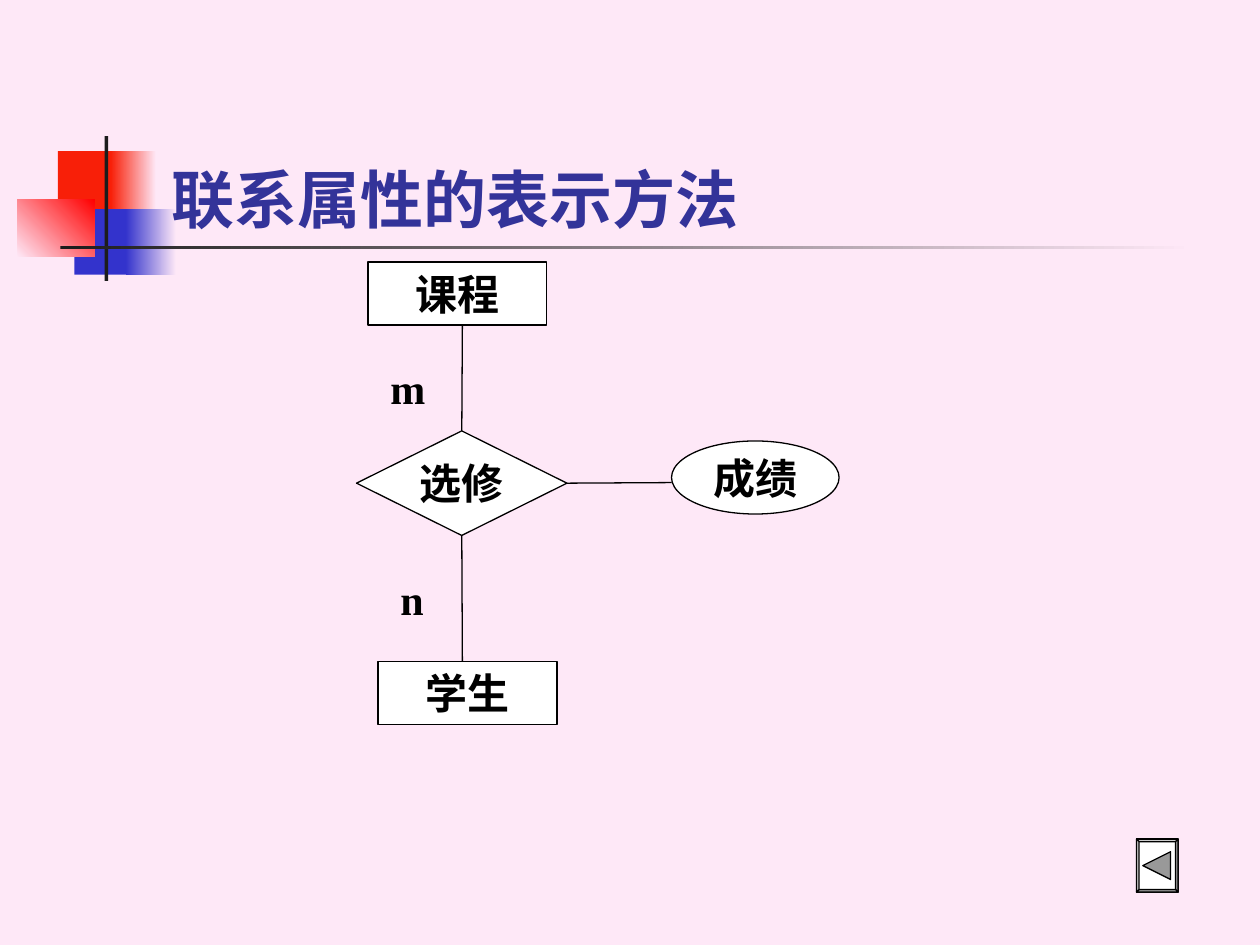
"""Build the slide on how relationship attributes are drawn in an ER diagram."""
from lxml import etree
from pptx import Presentation
from pptx.dml.color import RGBColor
from pptx.enum.shapes import MSO_CONNECTOR, MSO_SHAPE
from pptx.enum.text import MSO_ANCHOR, PP_ALIGN
from pptx.oxml.ns import qn
from pptx.util import Inches, Pt

RECTANGLE = MSO_SHAPE.RECTANGLE
DIAMOND = MSO_SHAPE.DIAMOND
OVAL = MSO_SHAPE.OVAL
STRAIGHT = MSO_CONNECTOR.STRAIGHT
TOP, MIDDLE, BOTTOM = MSO_ANCHOR.TOP, MSO_ANCHOR.MIDDLE, MSO_ANCHOR.BOTTOM
LEFT, CENTER = PP_ALIGN.LEFT, PP_ALIGN.CENTER

COLORS = {
    "background": "FEE8F7",
    "orange": "F81F08",
    "red": "FF0000",
    "blue": "3333CC",
    "dark": "1C1C1C",
    "title": "333399",
    "black": "000000",
    "white": "FFFFFF",
    "light": "CCCCCC",
    "gray": "999999",
}


def color(name):
    return RGBColor.from_string(COLORS[name])


def write(shape, text, size, font_name, font_color, anchor, align, wrap=True):
    frame = shape.text_frame
    frame.word_wrap = wrap
    frame.vertical_anchor = anchor
    paragraph = frame.paragraphs[0]
    paragraph.text = text
    paragraph.alignment = align
    paragraph.font.size = Pt(size)
    paragraph.font.name = font_name
    paragraph.font.bold = True
    paragraph.font.color.rgb = color(font_color)


presentation = Presentation()
presentation.slide_width = Inches(10)
presentation.slide_height = Inches(7.5)
slide = presentation.slides.add_slide(presentation.slide_layouts[6])
slide.background.fill.solid()
slide.background.fill.fore_color.rgb = color("background")
shapes = slide.shapes

decorations = [
    (0.46, 1.2, 0.48, 0.52, ["orange"], 0),
    (0.88, 1.2, 0.36, 0.52, ["orange", "background"], 0),
    (0.59, 1.66, 0.46, 0.52, ["blue"], 0),
    (1, 1.66, 0.4, 0.52, ["blue", "background"], 0),
    (0.14, 1.58, 0.61, 0.46, ["background", "red"], 45),
    (0.83, 1.08, 0.03, 1.15, ["dark"], 0),
    (0.48, 1.95, 9, 0.03, ["dark", "background"], 0),
]
for *box, fill_colors, angle in decorations:
    shape = shapes.add_shape(RECTANGLE, *map(Inches, box))
    shape.shadow.inherit = False
    shape.line.fill.background()
    if len(fill_colors) == 1:
        shape.fill.solid()
        shape.fill.fore_color.rgb = color(fill_colors[0])
    else:
        shape.fill.gradient()
        shape.fill.gradient_angle = angle
        for stop, name in zip(shape.fill.gradient_stops, fill_colors):
            stop.color.rgb = color(name)

title = shapes.add_textbox(Inches(1.26), Inches(0.67), Inches(8.52), Inches(1.25))
write(title, "联系属性的表示方法", 36, "Roboto", "title", BOTTOM, LEFT)

nodes = [
    ("课程", RECTANGLE, 2.92, 2.08, 1.42, 0.5, TOP, True),
    ("选修", DIAMOND, 2.83, 3.42, 1.67, 0.83, MIDDLE, False),
    ("学生", RECTANGLE, 3, 5.25, 1.42, 0.5, TOP, True),
    ("成绩", OVAL, 5.33, 3.5, 1.33, 0.58, MIDDLE, False),
]
node_shapes = {}
for text, kind, *box, anchor, wrap in nodes:
    shape = shapes.add_shape(kind, *map(Inches, box))
    shape.shadow.inherit = False
    shape.fill.solid()
    shape.fill.fore_color.rgb = color("white")
    shape.line.color.rgb = color("black")
    shape.line.width = Pt(0.75)
    write(shape, text, 24, "Times New Roman", "black", anchor, CENTER, wrap)
    node_shapes[text] = shape

links = [
    (3.67, 3.42, 3.67, 2.58, 0),
    (3.67, 4.25, 3.67, 5.25, 2),
    (4.5, 3.83, 5.33, 3.83, 3),
]
for *ends, site in links:
    connector = shapes.add_connector(STRAIGHT, *map(Inches, ends))
    connector.begin_connect(node_shapes["选修"], site)
    connector.line.color.rgb = color("black")
    connector.line.width = Pt(0.75)
    etree.SubElement(connector._element.spPr, qn("a:effectLst"))

for text, left, top in [("m", 3, 2.83), ("n", 3.08, 4.5)]:
    label = shapes.add_textbox(Inches(left), Inches(top), Inches(0.42), Inches(0.5))
    write(label, text, 24, "Times New Roman", "black", TOP, LEFT)

outer = [(9.02, 6.66), (9.35, 6.66), (9.35, 7.08), (9.02, 7.08)]
inner = [(9.04, 6.68), (9.33, 6.68), (9.33, 7.06), (9.04, 7.06)]
button_parts = [(outer, "white")]
for side, name in enumerate(["light", "gray", "gray", "light"]):
    following = (side + 1) % 4
    bevel = [outer[side], outer[following], inner[following], inner[side]]
    button_parts.append((bevel, name))
button_parts.append(([(9.07, 6.87), (9.29, 6.76), (9.29, 6.98)], "gray"))
for points, name in button_parts:
    start, *others = [(Inches(x), Inches(y)) for x, y in points]
    builder = shapes.build_freeform(*start)
    builder.add_line_segments(others, close=True)
    shape = builder.convert_to_shape()
    shape.shadow.inherit = False
    shape.fill.solid()
    shape.fill.fore_color.rgb = color(name)
    shape.line.color.rgb = color("black")
    shape.line.width = Pt(0.75)

presentation.save("out.pptx")
